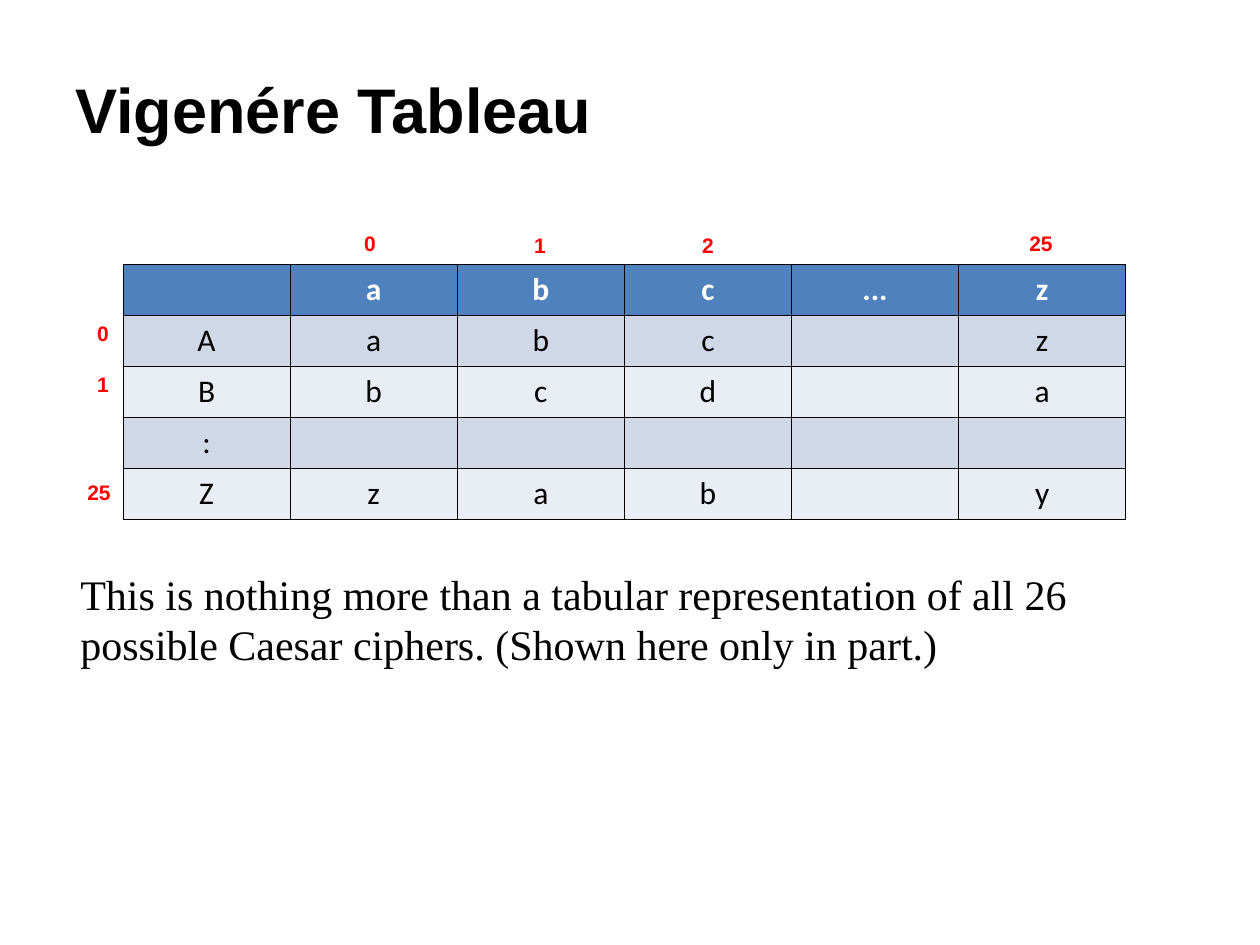
from dataclasses import dataclass

from lxml import etree
from pptx import Presentation
from pptx import util as u
from pptx.dml.color import RGBColor
from pptx.enum import text
from pptx.oxml import ns

PX_PER_INCH = 126
BLACK, WHITE, RED = "000000", "FFFFFF", "FF0000"
HEADER_FILL, BANDS = "4F81BD", ("D0D8E8", "E9EDF4")
BORDER_PT = 0.45

ROWS = (
    ("", "a", "b", "c", "...", "z"),
    ("A", "a", "b", "c", "", "z"),
    ("B", "b", "c", "d", "", "a"),
    (":", "", "", "", "", ""),
    ("Z", "z", "a", "b", "", "y"),
)


@dataclass(frozen=True)
class Style:
    font: str
    size: int
    colour: str = BLACK
    bold: bool = False


@dataclass(frozen=True)
class IndexLabel:
    text: str
    centre: int
    top: int


TITLE = Style("Arial", 36, bold=True)
BODY = Style("Times New Roman", 24)
INDEX = Style("Arial", 12, RED, True)
HEADER = Style("Calibri", 18, WHITE, True)
LETTER = Style("Calibri", 18)

LABELS = (
    # Row indices
    IndexLabel("0", 103, 314),
    IndexLabel("1", 103, 365),
    IndexLabel("25", 99, 473),
    # Column indices
    IndexLabel("0", 370, 224),
    IndexLabel("1", 540, 226),
    IndexLabel("2", 708, 226),
    IndexLabel("25", 1041, 224),
)


def px(value: int) -> u.Emu:
    return u.Emu(round(value * 914400 / PX_PER_INCH))


def rgb(colour: str) -> RGBColor:
    return RGBColor.from_string(colour)


def write(frame, content: str, style: Style, align=text.PP_ALIGN.LEFT) -> None:
    frame.text = content
    para = frame.paragraphs[0]
    para.alignment = align
    for span in para.runs:
        span.font.name = style.font
        span.font.size = u.Pt(style.size)
        span.font.bold = style.bold
        span.font.color.rgb = rgb(style.colour)


def place(shape, left: int, top: int, width: int, height: int) -> None:
    shape.left, shape.top = px(left), px(top)
    shape.width, shape.height = px(width), px(height)


def add_text(page, content: str, style: Style, area: tuple[int, int, int, int],
             wrap: bool, align=text.PP_ALIGN.LEFT) -> None:
    box = page.shapes.add_textbox(*map(px, area))
    box.text_frame.word_wrap = wrap
    box.text_frame.auto_size = text.MSO_AUTO_SIZE.SHAPE_TO_FIT_TEXT
    write(box.text_frame, content, style, align)


def add_borders(cell) -> None:
    properties = cell._tc.get_or_add_tcPr()
    for side in ("lnL", "lnR", "lnT", "lnB"):
        line = etree.SubElement(properties, ns.qn(f"a:{side}"), w=str(u.Pt(BORDER_PT)))
        fill = etree.SubElement(line, ns.qn("a:solidFill"))
        etree.SubElement(fill, ns.qn("a:srgbClr"), val=BLACK)


def add_tableau(page, left: int, top: int, width: int, row_height: int) -> None:
    rows, columns = len(ROWS), len(ROWS[0])
    table = page.shapes.add_table(
        rows, columns, px(left), px(top), px(width), px(row_height * rows)).table
    for r, letters in enumerate(ROWS):
        fill = BANDS[(r - 1) % 2] if r else HEADER_FILL
        for c, letter in enumerate(letters):
            cell = table.cell(r, c)
            add_borders(cell)
            cell.fill.solid()
            cell.fill.fore_color.rgb = rgb(fill)
            write(cell.text_frame, letter, LETTER if r else HEADER, text.PP_ALIGN.CENTER)


def main() -> None:
    deck = Presentation()
    deck.slide_width, deck.slide_height = px(1260), px(945)
    page = deck.slides.add_slide(deck.slide_layouts[5])

    # Title
    title = page.shapes.title
    place(title, 63, 40, 1134, 137)
    title.text_frame.vertical_anchor = text.MSO_ANCHOR.MIDDLE
    write(title.text_frame, "Vigenére Tableau", TITLE)

    # Tableau and explanation
    add_tableau(page, 123, 264, 1003, 51)
    add_text(page, "This is nothing more than a tabular representation of all 26 "
             "possible Caesar ciphers. (Shown here only in part.)",
             BODY, (68, 562, 1121, 113), wrap=True)

    # Row and column indices
    for label in LABELS:
        width = 50 if len(label.text) > 1 else 38
        area = (label.centre - width // 2, label.top, width, 38)
        add_text(page, label.text, INDEX, area, wrap=False, align=text.PP_ALIGN.CENTER)

    deck.save("out.pptx")


if __name__ == "__main__":
    main()
